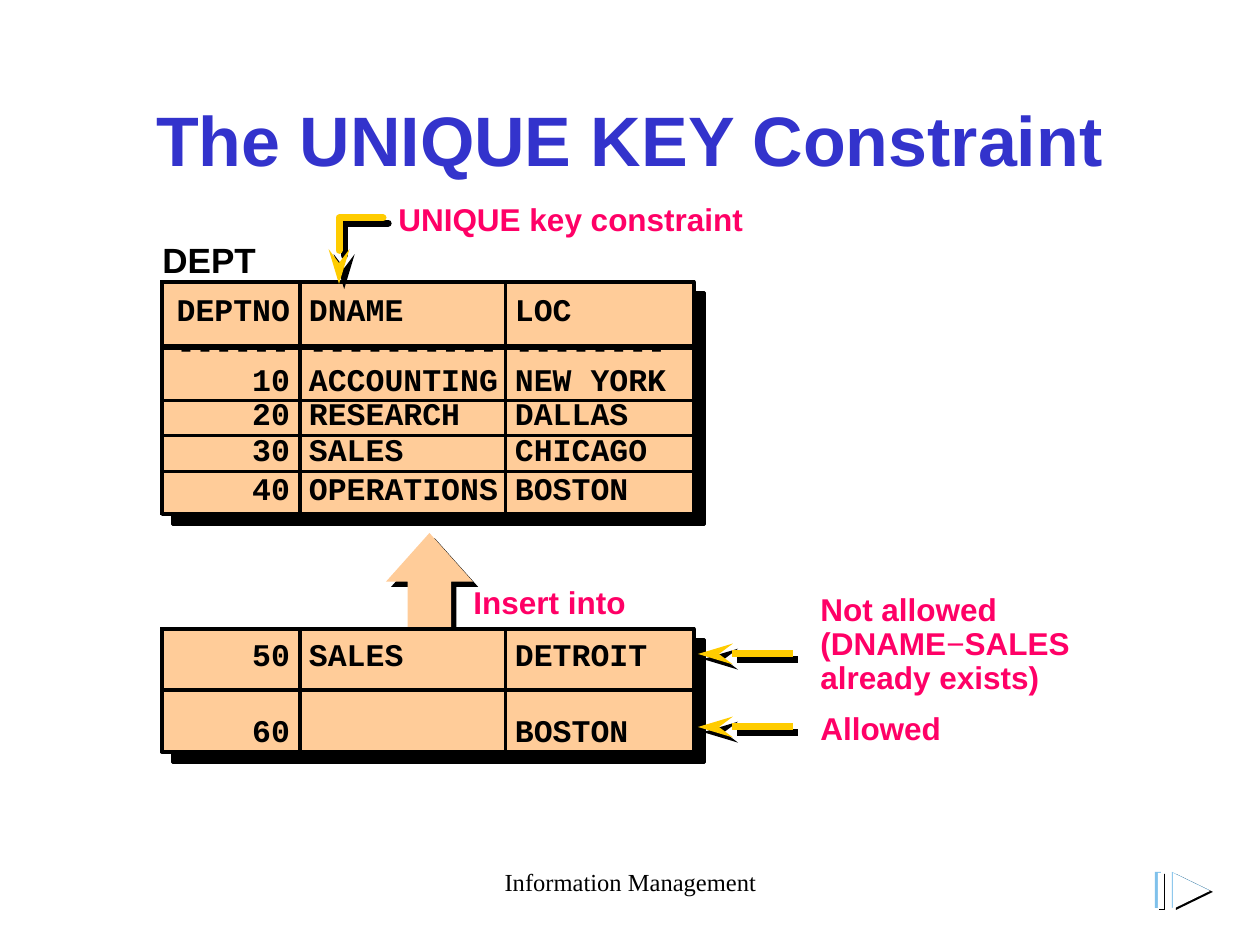
"""Build the slide on the UNIQUE KEY constraint."""
from dataclasses import dataclass

from lxml import etree
from pptx import Presentation
from pptx import util as u
from pptx.dml import color as dml
from pptx.enum import shapes, text
from pptx.oxml import ns

EMU_PER_PX = 914400 // 126
COLORS = {"black": "000000", "white": "FFFFFF", "title": "3333CC", "label": "FF0066",
          "peach": "FFCC99", "gold": "FFCC00", "sky": "7FC1EB"}
LEFT, CENTER, RIGHT = text.PP_ALIGN.LEFT, text.PP_ALIGN.CENTER, text.PP_ALIGN.RIGHT
TOP, MIDDLE, BOTTOM = text.MSO_ANCHOR.TOP, text.MSO_ANCHOR.MIDDLE, text.MSO_ANCHOR.BOTTOM
COLUMN_WIDTHS = (138, 206, 188)
COLUMN_ALIGNS = (RIGHT, LEFT, LEFT)


@dataclass
class Label:
    words: str
    box: tuple[int, int, int, int]
    size: int = 18
    font: str = "Arial"
    color: str = "label"
    bold: bool = True
    align: text.PP_ALIGN = LEFT
    spacing: float = 0.9
    shadow: bool = False


@dataclass
class Row:
    height: int
    cells: tuple[str, str, str]
    anchor: text.MSO_ANCHOR = MIDDLE
    rule_below: int = 2


@dataclass
class Layer:
    color: str
    left: int
    top: int


LABELS = [
    Label("Information Management", (431, 861, 399, 63), 14, "Times New Roman", "black",
          False, CENTER, 1.0),
    Label("The UNIQUE KEY Constraint", (94, 90, 1071, 157), 40, color="title",
          align=CENTER, spacing=1.0, shadow=True),
    Label("DEPT", (150, 232, 129, 54), 20, color="black", spacing=1.0),
    Label("UNIQUE key constraint", (386, 198, 404, 47)),
    Label("Insert into", (461, 581, 358, 47)),
    Label("Not allowed\n(DNAME−SALES already exists)", (808, 588, 377, 115)),
    Label("Allowed", (808, 707, 377, 47)),
]
DEPT_ROWS = [
    Row(65, ("DEPTNO", "DNAME", "LOC"), rule_below=4),
    Row(54, ("------\n10", "----------\nACCOUNTING", "--------\nNEW YORK")),
    Row(35, ("20", "RESEARCH", "DALLAS")),
    Row(36, ("30", "SALES", "CHICAGO")),
    Row(42, ("40", "OPERATIONS", "BOSTON")),
]
INSERT_ROWS = [
    Row(61, ("50", "SALES", "DETROIT")),
    Row(62, ("60", "", "BOSTON"), BOTTOM),
]
BAR_LAYERS = [Layer("black", 1159, 874), Layer("sky", 1155, 872), Layer("white", 1158, 873)]
PLAY_LAYERS = [Layer("black", 1176, 874), Layer("sky", 1172, 872), Layer("white", 1173, 873)]


def px(*lengths: int) -> list[int]:
    """Turn px lengths into EMU."""
    return [length * EMU_PER_PX for length in lengths]


def rgb(name: str) -> dml.RGBColor:
    """Look up a named colour."""
    return dml.RGBColor.from_string(COLORS[name])


def child(parent, tag: str, **attributes: str):
    """Append a DrawingML element."""
    return etree.SubElement(parent, ns.qn(f"a:{tag}"), attributes)


def add_shadow(effects, distance: float) -> None:
    """Add a hard black shadow to the lower right."""
    shadow = child(effects, "outerShdw", dist=str(u.Pt(distance)), dir="2700000",
                   algn="ctr", rotWithShape="0")
    child(shadow, "srgbClr", val=COLORS["black"])


def write(frame, words: str, *, size=18, font="Arial", color="black", bold=True,
          align=LEFT, spacing=(1.0,), shadow=False) -> None:
    """Fill a text frame, one paragraph per line, with a regular-weight minus sign."""
    for index, line in enumerate(words.split("\n")):
        paragraph = frame.paragraphs[0] if index == 0 else frame.add_paragraph()
        paragraph.alignment = align
        paragraph.line_spacing = spacing[index % len(spacing)]
        paragraph.font.size = u.Pt(size)
        paragraph.font.name = font
        for piece in filter(None, line.partition("−")):
            run = paragraph.add_run()
            run.text = piece
            run.font.size, run.font.name = u.Pt(size), font
            run.font.bold = bold and piece != "−"
            run.font.color.rgb = rgb(color)
            if shadow:
                effects = etree.Element(ns.qn("a:effectLst"))
                run.font._element.find(ns.qn("a:solidFill")).addnext(effects)
                add_shadow(effects, 3)


def add_label(slide, label: Label) -> None:
    """Add a text box."""
    frame = slide.shapes.add_textbox(*px(*label.box)).text_frame
    frame.word_wrap = True
    frame.vertical_anchor = TOP
    write(frame, label.words, size=label.size, font=label.font, color=label.color,
          bold=label.bold, align=label.align, spacing=(label.spacing,), shadow=label.shadow)


def paint(shape, fill: str, *, line_width: int = 0, shadow: float = 0) -> None:
    """Give a shape its fill, outline and shadow."""
    shape.shadow.inherit = False
    shape.fill.solid()
    shape.fill.fore_color.rgb = rgb(fill)
    if line_width:
        shape.line.color.rgb = rgb("black")
        shape.line.width = u.Pt(line_width)
    else:
        shape.line.fill.background()
    if shadow:
        add_shadow(shape._element.spPr.get_or_add_effectLst(), shadow)


def add_block(slide, kind, box: tuple[int, int, int, int], fill: str, **style):
    """Add a painted preset shape."""
    shape = slide.shapes.add_shape(kind, *px(*box))
    paint(shape, fill, **style)
    return shape


def add_borders(cell, widths: dict[str, int]) -> None:
    """Set the cell borders, given in points by side."""
    properties = cell._tc.get_or_add_tcPr()
    for index, (side, width) in enumerate(widths.items()):
        border = child(properties, f"ln{side}", w=str(u.Pt(width)))
        child(child(border, "solidFill"), "srgbClr", val=COLORS["black"])
        properties.insert(index, border)


def add_data_table(slide, left: int, top: int, rows: list[Row]) -> None:
    """Add a ruled table over a shadowed panel."""
    box = (left, top, sum(COLUMN_WIDTHS), sum(row.height for row in rows))
    add_block(slide, shapes.MSO_SHAPE.RECTANGLE, box, "peach", line_width=2, shadow=8.5)
    table = slide.shapes.add_table(len(rows), len(COLUMN_WIDTHS), *px(*box)).table
    table.first_row = table.horz_banding = False
    for column, width in zip(table.columns, px(*COLUMN_WIDTHS)):
        column.width = width
    rule_above = 2
    for index, row in enumerate(rows):
        table.rows[index].height = px(row.height)[0]
        for cell, words, align in zip(table.rows[index].cells, row.cells, COLUMN_ALIGNS):
            cell.fill.solid()
            cell.fill.fore_color.rgb = rgb("peach")
            add_borders(cell, {"L": 2, "R": 2, "T": rule_above, "B": row.rule_below})
            cell.margin_left, cell.margin_right = px(9, 10) if align == LEFT else px(0, 10)
            if align == LEFT:
                cell.margin_right = 0
            cell.margin_top = cell.margin_bottom = 0
            cell.vertical_anchor = row.anchor
            write(cell.text_frame, words, font="Courier New", align=align,
                  spacing=(u.Pt(12), u.Pt(18.5)) if "\n" in words else (u.Pt(19),))
        rule_above = row.rule_below


def style_arrow(shape, end: str) -> None:
    """Make a line a gold, shadowed arrow with its head at the given end."""
    shape.line.color.rgb = rgb("gold")
    shape.line.width = u.Pt(4)
    child(shape._element.spPr.get_or_add_ln(), end, type="stealth", w="med", len="lg")
    add_shadow(shape._element.spPr.get_or_add_effectLst(), 4.2)


def add_outline(slide, points: list[tuple[int, int]], *, close: bool):
    """Add a freeform through the points."""
    builder = slide.shapes.build_freeform(*points[0], scale=EMU_PER_PX)
    builder.add_line_segments(points[1:], close=close)
    return builder.convert_to_shape()


def main() -> None:
    """Build and save the slide."""
    presentation = Presentation()
    presentation.slide_width, presentation.slide_height = px(1260, 945)
    slide = presentation.slides.add_slide(presentation.slide_layouts[6])

    arrow = add_block(slide, shapes.MSO_SHAPE.UP_ARROW, (386, 533, 87, 97), "peach", shadow=4.2)
    arrow.adjustments[1] = 0.56
    add_data_table(slide, 162, 282, DEPT_ROWS)
    add_data_table(slide, 162, 629, INSERT_ROWS)
    for label in LABELS:
        add_label(slide, label)

    elbow = add_outline(slide, [(383, 218), (339, 218), (339, 284)], close=False)
    elbow.shadow.inherit = False
    elbow.fill.background()
    style_arrow(elbow, "tailEnd")
    elbow._element.spPr.get_or_add_ln().set("cap", "rnd")
    for y in (654, 727):
        pointer = slide.shapes.add_connector(shapes.MSO_CONNECTOR.STRAIGHT,
                                             *px(698, y, 793, y))
        style_arrow(pointer, "headEnd")

    for layer in BAR_LAYERS:
        add_block(slide, shapes.MSO_SHAPE.RECTANGLE, (layer.left, layer.top, 6, 36), layer.color)
    for layer in PLAY_LAYERS:
        x, y = layer.left, layer.top
        paint(add_outline(slide, [(x + 37, y + 18), (x, y), (x, y + 36)], close=True),
              layer.color)
    presentation.save("out.pptx")


if __name__ == "__main__":
    main()
